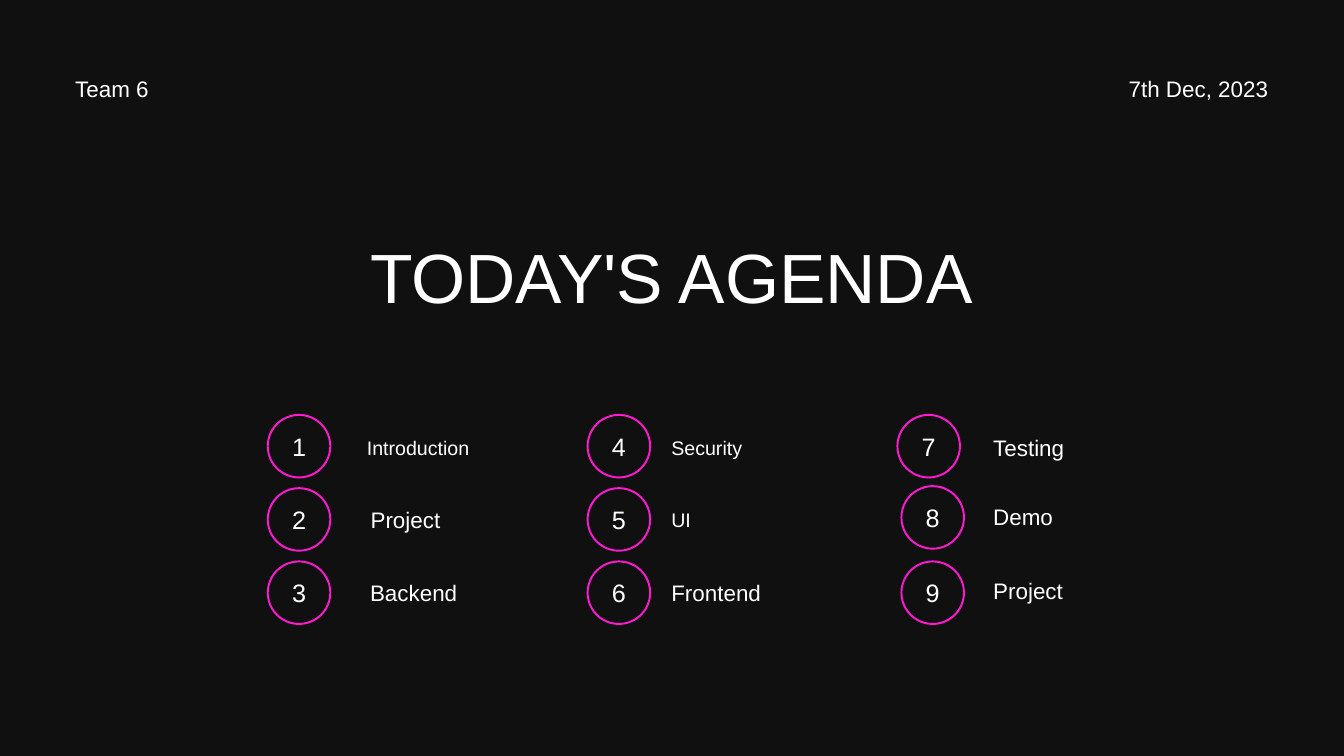
"""Builds a dark agenda slide with nine ringed numbers and their topics."""
from pptx import Presentation
from pptx.dml.color import RGBColor
from pptx.enum.shapes import MSO_SHAPE
from pptx.enum.text import PP_ALIGN
from pptx.util import Inches, Pt

LEFT, MID, RIGHT = PP_ALIGN.LEFT, PP_ALIGN.CENTER, PP_ALIGN.RIGHT
DONUT = MSO_SHAPE.DONUT
FONT = "Arial"
COLORS = {"back": "101010", "text": "FFFFFF", "ring": "FF19CF"}

HEADS = [
    ("7th Dec, 2023", (14.57, 1.04, 4.3, 0.48), 24, 1.2, RIGHT),
    ("Team 6", (1.12, 1.04, 4.3, 0.48), 24, 1.2, LEFT),
    ("TODAY'S AGENDA", (2.4, 3.35, 15.19, 1.26), 74.6, 1.1, MID),
]
COLUMNS = [
    (3.97, 5.46, [
        ("Introduction", 6.35, 4.58, 0.46, 21, 1.4, LEFT),
        ("Project ", 7.45, 1.24, 0.48, 24, 1.2, MID),
        ("Backend", 8.54, 1.39, 0.48, 24, 1.2, MID),
    ]),
    (8.73, 9.99, [
        ("Security", 6.35, 4.58, 0.35, 21, 1.4, LEFT),
        ("UI", 7.42, 4.58, 0.35, 21, 1.4, LEFT),
        ("Frontend", 8.54, 1.86, 0.4, 24, 1.2, LEFT),
    ]),
    (13.4, 14.78, [
        ("Testing", 6.38, 1.24, 0.48, 24, 1.2, LEFT),
        ("Demo", 7.4, 1.24, 0.48, 24, 1.2, LEFT),
        ("Project", 8.51, 1.24, 0.48, 24, 1.2, LEFT),
    ]),
]
SHIFTS = {7: (-0.06, 0), 8: (0, -0.03)}
TOP, STEP, SIZE, BAND = 6.16, 1.09, 0.96, 0.03


def color(key):
    return RGBColor.from_string(COLORS[key])


def add_text(slide, text, place, size, spacing, align):
    frame = slide.shapes.add_textbox(*map(Inches, place)).text_frame
    frame.word_wrap = True
    frame.margin_left = frame.margin_right = 0
    frame.margin_top = frame.margin_bottom = 0
    para = frame.paragraphs[0]
    para.text = text
    para.alignment = align
    para.line_spacing = spacing
    para.font.name = FONT
    para.font.size = Pt(size)
    para.font.color.rgb = color("text")


def add_ring(slide, number, left, top):
    ring = slide.shapes.add_shape(DONUT, *map(Inches, (left, top, SIZE, SIZE)))
    ring.adjustments[0] = BAND
    ring.shadow.inherit = False
    ring.fill.solid()
    ring.fill.fore_color.rgb = color("ring")
    ring.line.fill.background()
    place = (left + 0.3, top + 0.28, 0.36, 0.42)
    add_text(slide, str(number), place, 27, 0.96, MID)


def main():
    deck = Presentation()
    deck.slide_width, deck.slide_height = Inches(20), Inches(11.25)
    slide = deck.slides.add_slide(deck.slide_layouts[6])
    slide.background.fill.solid()
    slide.background.fill.fore_color.rgb = color("back")

    for head in HEADS:
        add_text(slide, *head)

    for col, (left, edge, topics) in enumerate(COLUMNS):
        for row, (text, top, width, height, *style) in enumerate(topics):
            number = col * len(topics) + row + 1
            right, down = SHIFTS.get(number, (0, 0))
            add_ring(slide, number, left + right, TOP + row * STEP + down)
            add_text(slide, text, (edge, top, width, height), *style)

    deck.save("out.pptx")


if __name__ == "__main__":
    main()
